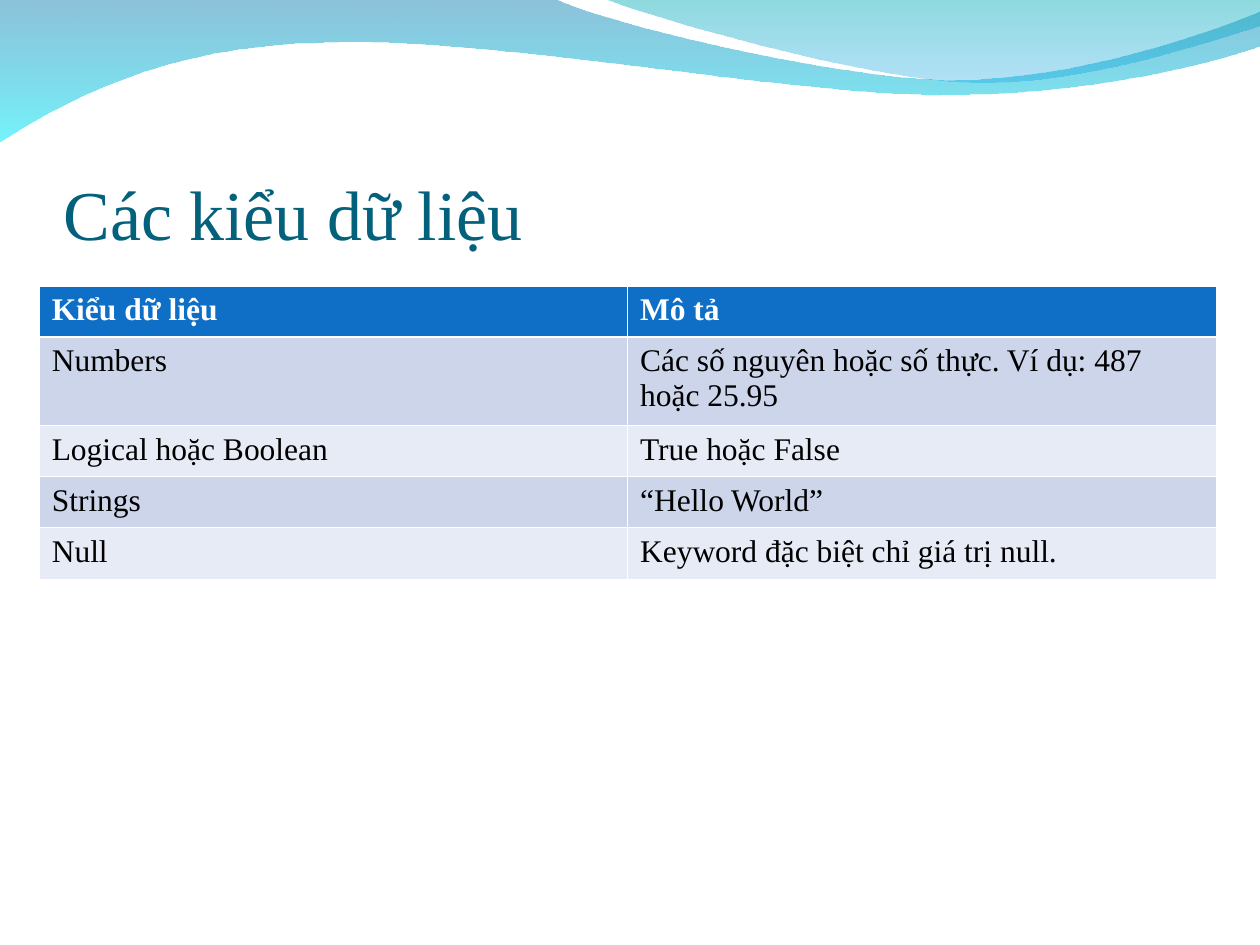
"""Build a slide on data types: a wave banner, a title and a table."""
from lxml.etree import SubElement
from pptx import Presentation
from pptx.dml.color import RGBColor as RGB
from pptx.enum.text import MSO_ANCHOR as Anchor
from pptx.oxml.ns import qn
from pptx.util import Cm, Pt

FONT = "Times New Roman"
HUES = {
    "title": "04617B", "head": "0F6FC6", "odd": "CCD5EA", "even": "E7EBF5",
    "white": "FFFFFF", "ink": "000000",
    "navy": "0079AF", "aqua": "00EBF8", "teal": "00ADB6", "sky": "009BE5",
}
BACK = [
    [(0, -0.03)],
    [(11.18, -0.03)],
    [(12.09, 0.43), (16.87, 1.6), (19.25, 1.6)],
    [(21.67, 1.6), (24.33, 0.66), (25.4, 0.23)],
    [(25.43, 0.91)],
    [(24.97, 1.12), (22.1, 1.93), (18.95, 1.91)],
    [(15.8, 1.91), (9.7, 0.71), (6.53, 0.86)],
    [(3.28, 0.89), (1.17, 2.11), (-0.03, 2.87)],
]
FRONT = [
    [(12.17, -0.03)],
    [(12.93, 0.28), (17.32, 1.57), (19.53, 1.65)],
    [(21.74, 1.75), (24.41, 0.81), (25.4, 0.53)],
    [(25.4, 0)],
]
ROWS = [
    ("Kiểu dữ liệu", "Mô tả"),
    ("Numbers", "Các số nguyên hoặc số thực. Ví dụ: 487 hoặc 25.95"),
    ("Logical hoặc Boolean", "True hoặc False"),
    ("Strings", "“Hello World”"),
    ("Null", "Keyword đặc biệt chỉ giá trị null."),
]


def hue(name):
    """Return the named colour."""
    return RGB.from_string(HUES[name])


def bend(shape, parts):
    """Join each run of three line points into one cubic curve."""
    lines = iter(list(shape.element.spPr.iter(qn("a:lnTo"))))
    for part in parts[1:]:
        group = [next(lines) for _ in part]
        if len(group) == 3:
            curve = SubElement(group[0].getparent(), qn("a:cubicBezTo"))
            group[0].addprevious(curve)
            for line in group:
                curve.append(line[0])
                line.getparent().remove(line)


def add_wave(slide, parts, stops):
    """Draw a wave with a see-through gradient running down."""
    first, *rest = [(Cm(x), Cm(y)) for part in parts for x, y in part]
    pen = slide.shapes.build_freeform(*first)
    pen.add_line_segments(rest, close=True)
    wave = pen.convert_to_shape()
    bend(wave, parts)
    wave.shadow.inherit = False
    wave.line.fill.background()
    wave.fill.gradient()
    wave.fill.gradient_angle = 270
    for stop, (name, _) in zip(wave.fill.gradient_stops, stops):
        stop.color.rgb = hue(name)
    tints = wave.element.spPr.iter(qn("a:srgbClr"))
    for tint, (_, alpha) in zip(list(tints), stops):
        SubElement(tint, qn("a:alpha"), val=str(alpha * 1000))


def add_run(para, text, size, name, bold=False):
    """Add one styled run."""
    run = para.add_run()
    run.text = text
    font = run.font
    font.name, font.size, font.bold = FONT, Pt(size), bold
    font.color.rgb = hue(name)


def add_title(slide, text):
    """Add the title, set on the base of its box."""
    box = slide.shapes.add_textbox(Cm(1.28), Cm(1.96), Cm(22.86), Cm(3.18))
    frame = box.text_frame
    frame.word_wrap = True
    frame.vertical_anchor = Anchor.BOTTOM
    frame.margin_left = frame.margin_right = frame.margin_bottom = 0
    add_run(frame.paragraphs[0], text, 40, "title")


def add_edges(cell, row):
    """Give a cell white borders, thicker below the header."""
    props = cell._tc.get_or_add_tcPr()
    for n, side in enumerate("LRTB"):
        thick = (row, side) in ((0, "B"), (1, "T"))
        line = SubElement(props, qn(f"a:ln{side}"), w=str(Pt(1.47 if thick else 0.45)))
        fill = SubElement(line, qn("a:solidFill"))
        SubElement(fill, qn("a:srgbClr"), val=HUES["white"])
        props.insert(n, line)


def add_grid(slide, rows):
    """Add the table with a header and striped rows."""
    high = [1.03, 1.78, 1.03, 1.03, 1.03]
    grid = slide.shapes.add_table(
        len(rows), 2, Cm(0.79), Cm(5.77), Cm(23.72), Cm(sum(high))).table
    for r, texts in enumerate(rows):
        grid.rows[r].height = Cm(high[r])
        head = r == 0
        shade = "head" if head else "odd" if r % 2 else "even"
        for c, text in enumerate(texts):
            cell = grid.cell(r, c)
            cell.fill.solid()
            cell.fill.fore_color.rgb = hue(shade)
            add_edges(cell, r)
            add_run(cell.text_frame.paragraphs[0], text, 18,
                    "white" if head else "ink", head)


def main():
    """Build and save the slide."""
    deck = Presentation()
    deck.slide_width, deck.slide_height = Cm(25.4), Cm(19.05)
    slide = deck.slides.add_slide(deck.slide_layouts[6])
    add_wave(slide, BACK, [("navy", 45), ("aqua", 55)])
    add_wave(slide, FRONT, [("teal", 45), ("sky", 30)])
    add_title(slide, "Các kiểu dữ liệu")
    add_grid(slide, ROWS)
    deck.save("out.pptx")


if __name__ == "__main__":
    main()
